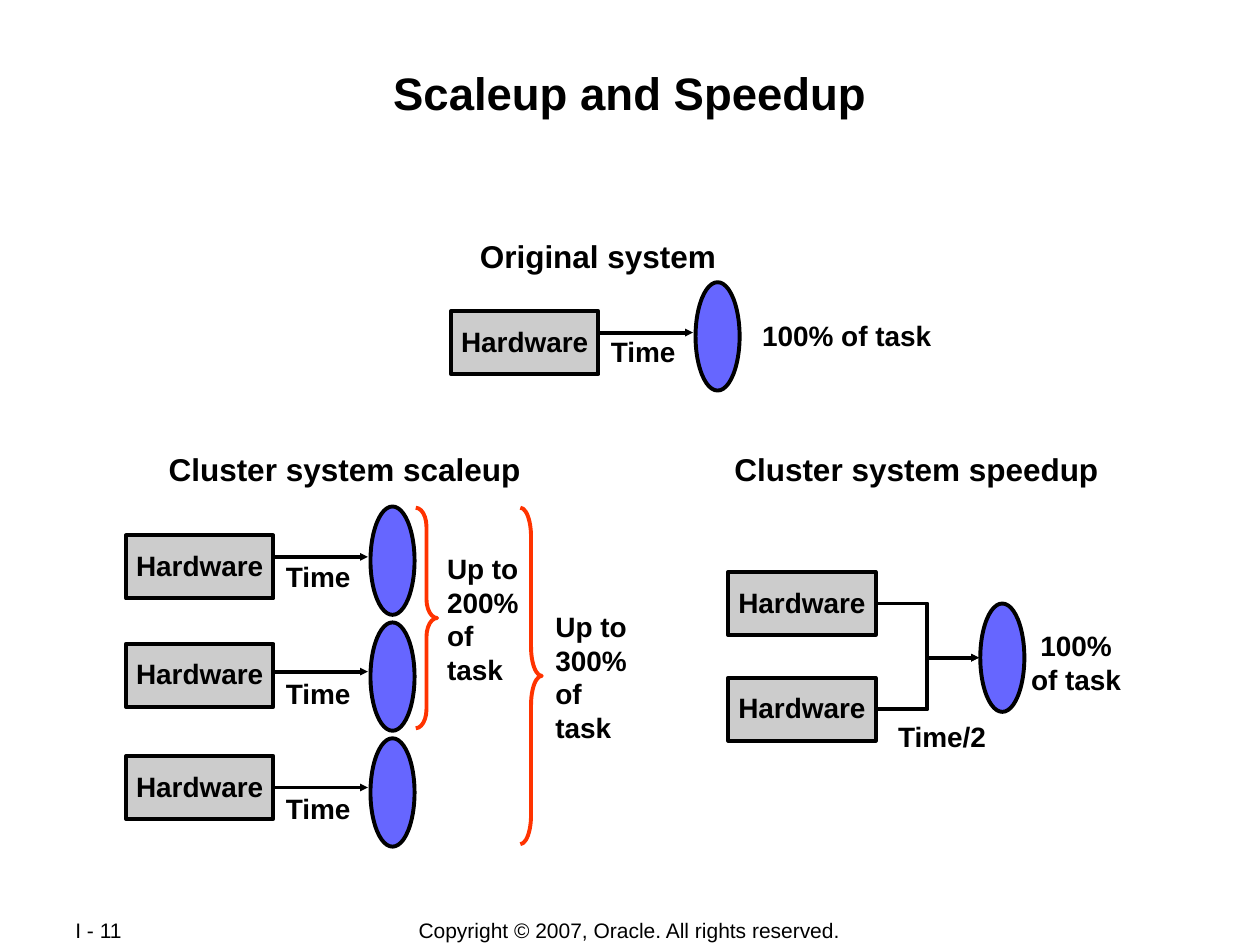
from dataclasses import dataclass

import pptx
import pptx.dml.color
import pptx.enum.shapes
import pptx.enum.text
import pptx.oxml
import pptx.oxml.ns
import pptx.util

Inches = pptx.util.Inches
Kind = pptx.enum.shapes.MSO_SHAPE
Link = pptx.enum.shapes.MSO_CONNECTOR
Align = pptx.enum.text.PP_ALIGN
Anchor = pptx.enum.text.MSO_ANCHOR

COLOURS = {"ink": "000000", "hardware": "CCCCCC", "task": "6666FF", "brace": "FF3300"}
FONT = "Arial"
LINE_WIDTH = 2.25
HARDWARE_SIZE = (1.17, 0.5)
TASK_SIZE = (0.35, 0.86)
BRACE_WIDTH = 0.17


@dataclass
class Label:
    paragraphs: list[list[str]]
    left: float
    top: float
    width: float
    height: float
    size: int = 16
    bold: bool = True
    align: Align = Align.LEFT
    anchor: Anchor = Anchor.TOP
    wrap: bool = False
    inset: tuple[float, float] = (0.1, 0.05)


@dataclass
class Flow:
    left: float
    hardware_top: float
    arrow_y: float
    time_top: float
    task_top: float


@dataclass
class Brace:
    left: float
    top: float
    height: float
    curve: float


def colour(name: str):
    return pptx.dml.color.RGBColor.from_string(COLOURS[name])


def fill_text(frame, paragraphs: list[list[str]], size: int, bold: bool, align: Align):
    for index, lines in enumerate(paragraphs):
        para = frame.paragraphs[0] if index == 0 else frame.add_paragraph()
        para.alignment = align
        for number, words in enumerate(lines):
            if number:
                para.add_line_break()
            span = para.add_run()
            span.text = words
            span.font.name = FONT
            span.font.size = pptx.util.Pt(size)
            span.font.bold = bold
            span.font.color.rgb = colour("ink")


def set_insets(frame, across: float, down: float):
    frame.margin_left = frame.margin_right = Inches(across)
    frame.margin_top = frame.margin_bottom = Inches(down)


def add_label(page, label: Label):
    box = page.shapes.add_textbox(
        Inches(label.left), Inches(label.top), Inches(label.width), Inches(label.height)
    )
    frame = box.text_frame
    frame.word_wrap = label.wrap
    frame.vertical_anchor = label.anchor
    set_insets(frame, *label.inset)
    fill_text(frame, label.paragraphs, label.size, label.bold, label.align)


def add_outlined(page, kind: Kind, left: float, top: float, size: tuple[float, float],
                 fill: str | None, line: str = "ink"):
    shape = page.shapes.add_shape(
        kind, Inches(left), Inches(top), Inches(size[0]), Inches(size[1])
    )
    shape.shadow.inherit = False
    if fill:
        shape.fill.solid()
        shape.fill.fore_color.rgb = colour(fill)
    else:
        shape.fill.background()
    shape.line.color.rgb = colour(line)
    shape.line.width = pptx.util.Pt(LINE_WIDTH)
    return shape


def add_hardware(page, left: float, top: float):
    box = add_outlined(page, Kind.RECTANGLE, left, top, HARDWARE_SIZE, "hardware")
    frame = box.text_frame
    frame.word_wrap = False
    frame.vertical_anchor = Anchor.MIDDLE
    set_insets(frame, 0.01, 0.01)
    fill_text(frame, [["Hardware"]], 16, True, Align.CENTER)
    frame.paragraphs[0].line_spacing = 0.95


def add_task(page, left: float, top: float):
    add_outlined(page, Kind.OVAL, left, top, TASK_SIZE, "task")


def add_arrow(page, kind: Link, start: tuple[float, float], end: tuple[float, float]):
    arrow = page.shapes.add_connector(kind, *(Inches(value) for value in start + end))
    arrow.line.color.rgb = colour("ink")
    arrow.line.width = pptx.util.Pt(LINE_WIDTH)
    head = pptx.oxml.parse_xml(
        f'<a:tailEnd {pptx.oxml.ns.nsdecls("a")} type="triangle" w="sm" len="sm"/>'
    )
    arrow.line._get_or_add_ln().append(head)
    effects = pptx.oxml.parse_xml(f'<a:effectLst {pptx.oxml.ns.nsdecls("a")}/>')
    arrow._element.spPr.append(effects)


def add_flow(page, flow: Flow):
    right = flow.left + HARDWARE_SIZE[0]
    add_arrow(page, Link.STRAIGHT, (right, flow.arrow_y), (flow.left + 1.92, flow.arrow_y))
    add_task(page, flow.left + 1.94, flow.task_top)
    add_label(page, Label([["Time"]], right, flow.time_top, 0.72, 0.37))
    add_hardware(page, flow.left, flow.hardware_top)


def add_brace(page, brace: Brace):
    shape = add_outlined(page, Kind.RIGHT_BRACE, brace.left, brace.top,
                         (BRACE_WIDTH, brace.height), None, "brace")
    shape.adjustments[0] = brace.curve
    shape.adjustments[1] = 0.5


def add_speedup(page):
    join = (7.77, 5.22)
    left = 5.78
    for top in (4.54, 5.38):
        add_hardware(page, left, top)
        start = (left + HARDWARE_SIZE[0], top + HARDWARE_SIZE[1] / 2)
        add_arrow(page, Link.ELBOW, start, join)
    add_task(page, 7.78, 4.79)


LABELS = [
    Label([["Scaleup and Speedup"]], 0.67, 0.51, 8.66, 0.96, size=26,
          align=Align.CENTER, wrap=True, inset=(0.01, 0.01)),
    Label([["Original system"]], 3.71, 1.83, 2.08, 0.4, size=18),
    Label([["100% of task"]], 5.95, 2.48, 1.55, 0.37),
    Label([["Cluster system scaleup"]], 1.24, 3.52, 3, 0.4, size=18),
    Label([["Up to"], ["200%", "of", "task"]], 3.45, 4.33, 0.83, 1.17),
    Label([["Up to"], ["300%", "of", "task"]], 4.31, 4.79, 0.83, 1.17),
    Label([["Cluster system speedup"]], 5.73, 3.52, 3.09, 0.4, size=18),
    Label([["Time/2"]], 7.03, 5.66, 0.9, 0.37),
    Label([["100%", "of task"]], 8.08, 4.94, 0.92, 0.63, align=Align.CENTER),
    Label([["I - 11"]], 0.5, 7.28, 1.06, 0.2, size=12, bold=False,
          anchor=Anchor.MIDDLE, wrap=True),
    Label([["Copyright © 2007, Oracle. All rights reserved."]], 2.75, 7.28, 4.49, 0.21,
          size=12, bold=False, align=Align.CENTER, anchor=Anchor.MIDDLE, wrap=True),
]

FLOWS = [
    Flow(3.58, 2.47, 2.64, 2.61, 2.24),
    Flow(1, 4.25, 4.42, 4.39, 4.02),
    Flow(1, 5.11, 5.33, 5.32, 4.94),
    Flow(1, 6, 6.25, 6.23, 5.86),
]

BRACES = [Brace(3.3, 4.03, 1.75, 0.88), Brace(4.13, 4.03, 2.67, 1.35)]


def main():
    deck = pptx.Presentation()
    deck.slide_width = Inches(10)
    deck.slide_height = Inches(7.5)
    page = deck.slides.add_slide(deck.slide_layouts[6])
    for label in LABELS:
        add_label(page, label)
    for flow in FLOWS:
        add_flow(page, flow)
    for brace in BRACES:
        add_brace(page, brace)
    add_speedup(page)
    deck.save("out.pptx")


if __name__ == "__main__":
    main()
